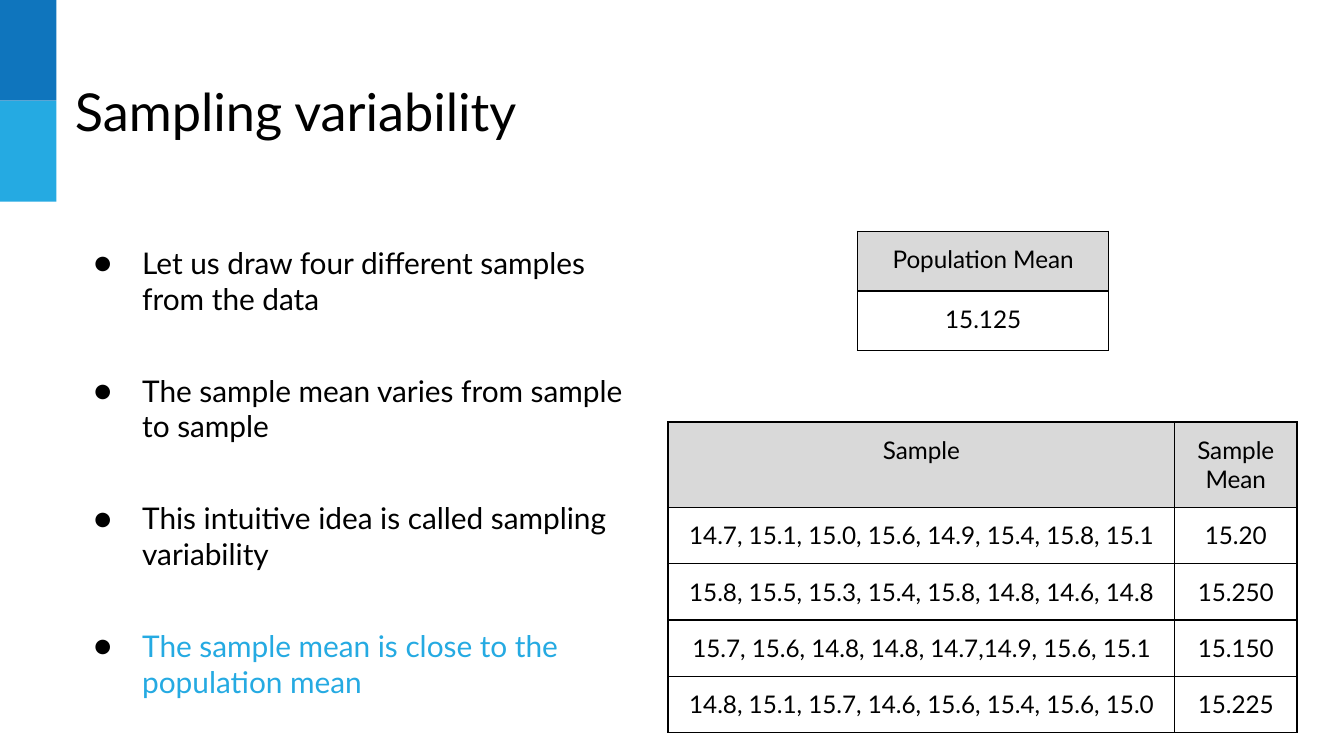
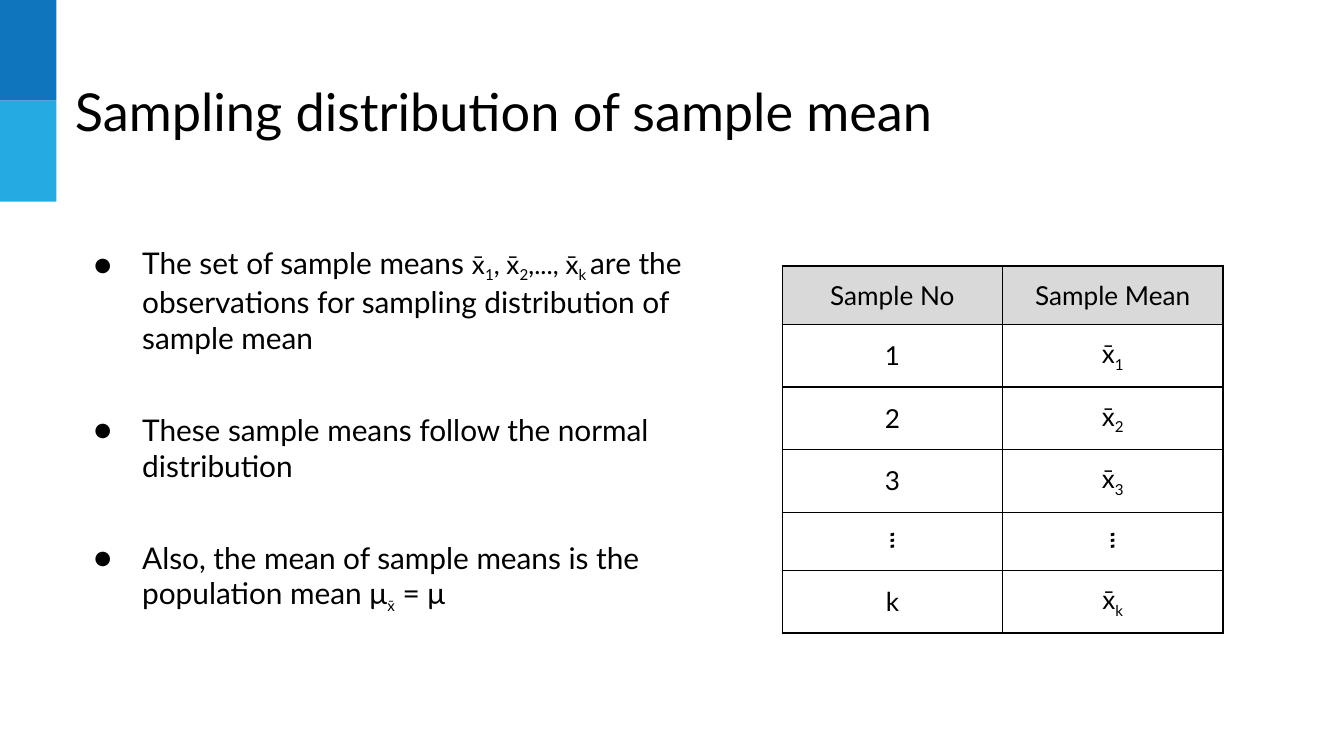
"""Build two slides on sampling variability and the distribution of the sample mean."""
from dataclasses import dataclass
from typing import NamedTuple

from lxml.etree import SubElement
from pptx import Presentation
from pptx.dml.color import RGBColor
from pptx.enum.shapes import MSO_SHAPE
from pptx.enum.text import MSO_ANCHOR, PP_ALIGN
from pptx.oxml.ns import qn
from pptx.util import Inches, Pt


@dataclass(frozen=True)
class Theme:
    """Colours, type sizes and measures shared by the slides."""
    font: str = "Lato"
    ink: str = "000000"
    deep: str = "0F75BD"
    bright: str = "25AAE2"
    header: str = "D9D9D9"
    title: int = 28
    body: int = 16
    symbol: int = 14
    small: int = 13
    gap: int = 30
    border: float = 0.75
    inset: int = 1


T = Theme()
COLS, ROWS = 100, 56.25


class Area(NamedTuple):
    """A rectangle in grid columns and rows."""
    x: float
    y: float
    w: float
    h: float


class Span(NamedTuple):
    """A stretch of text with one format."""
    text: str
    size: int = T.body
    sub: bool = False
    color: str = T.ink


Line = tuple[Span, ...]


@dataclass(frozen=True)
class Grid:
    """A bordered table whose first row is a header."""
    x: float
    y: float
    cols: tuple[float, ...]
    row: float
    rows: tuple[tuple[Line, ...], ...]
    anchor: MSO_ANCHOR = MSO_ANCHOR.TOP


@dataclass(frozen=True)
class Page:
    """The content of one slide."""
    title: str
    body: Area
    bullets: tuple[Line, ...]
    grids: tuple[Grid, ...]


def unit(n: float) -> int:
    """Turn grid units into a length."""
    return Inches(n / 10)


def plain(rows: list[tuple[str, ...]], size: int) -> tuple[tuple[Line, ...], ...]:
    """Make table rows of single-format cells."""
    return tuple(tuple((Span(text, size),) for text in row) for row in rows)


def x_bar(index: str, lead: str = "") -> Line:
    """Write an indexed sample mean."""
    return Span(f"{lead}x̄", T.symbol), Span(index, T.symbol, sub=True)


def write(p, line: Line) -> None:
    """Fill a paragraph with formatted runs."""
    for span in line:
        r = p.add_run()
        r.text = span.text
        r.font.name = T.font
        r.font.size = Pt(span.size)
        r.font.color.rgb = RGBColor.from_string(span.color)
        if span.sub:
            r._r.get_or_add_rPr().set("baseline", "-25000")


def set_margins(box) -> None:
    """Give a text frame or a cell even insets."""
    box.margin_left = box.margin_right = unit(T.inset)
    box.margin_top = box.margin_bottom = unit(T.inset)


def add_text(s, area: Area, lines: tuple[Line, ...], bulleted: bool = False) -> None:
    """Add a text box with one paragraph a line."""
    tf = s.shapes.add_textbox(*map(unit, area)).text_frame
    tf.word_wrap = True
    set_margins(tf)
    for i, line in enumerate(lines):
        p = tf.add_paragraph() if i else tf.paragraphs[0]
        if bulleted:
            add_bullet(p)
        if i:
            p.space_before = Pt(T.gap)
        write(p, line)


def add_bullet(p) -> None:
    """Give a paragraph a hanging dot."""
    pPr = p._p.get_or_add_pPr()
    pPr.set("marL", str(unit(5)))
    pPr.set("indent", str(-unit(3.6)))
    color = SubElement(pPr, qn("a:buClr"))
    SubElement(color, qn("a:srgbClr"), val=T.ink)
    SubElement(pPr, qn("a:buFont"), typeface=T.font)
    SubElement(pPr, qn("a:buChar"), char="●")


def add_borders(cell) -> None:
    """Line all four sides of a cell."""
    tcPr = cell._tc.get_or_add_tcPr()
    for side in "LRTB":
        ln = SubElement(tcPr, qn(f"a:ln{side}"), w=str(Pt(T.border)))
        fill = SubElement(ln, qn("a:solidFill"))
        SubElement(fill, qn("a:srgbClr"), val=T.ink)


def add_grid(s, grid: Grid) -> None:
    """Draw a table."""
    area = Area(grid.x, grid.y, sum(grid.cols), grid.row * len(grid.rows))
    table = s.shapes.add_table(len(grid.rows), len(grid.cols), *map(unit, area)).table
    table.first_row = table.horz_banding = False
    for column, width in zip(table.columns, grid.cols):
        column.width = unit(width)
    for i, row in enumerate(grid.rows):
        table.rows[i].height = unit(grid.row)
        for j, line in enumerate(row):
            cell = table.cell(i, j)
            add_borders(cell)
            set_margins(cell)
            cell.vertical_anchor = grid.anchor
            if i:
                cell.fill.background()
            else:
                cell.fill.solid()
                cell.fill.fore_color.rgb = RGBColor.from_string(T.header)
            p = cell.text_frame.paragraphs[0]
            p.alignment = PP_ALIGN.CENTER
            write(p, line)


def add_bands(s) -> None:
    """Stack the two colour blocks in the top left corner."""
    width, height = 4.2, 7.5
    for i, color in enumerate((T.deep, T.bright)):
        sp = s.shapes.add_shape(
            MSO_SHAPE.RECTANGLE, *map(unit, Area(0, i * height, width, height)))
        sp.shadow.inherit = False
        sp.fill.solid()
        sp.fill.fore_color.rgb = RGBColor.from_string(color)
        sp.line.fill.background()


def add_page(prs, page: Page) -> None:
    """Add one slide."""
    s = prs.slides.add_slide(prs.slide_layouts[6])
    add_bands(s)
    add_text(s, Area(4.6, 4.9, 81, 6.3), ((Span(page.title, T.title),),))
    add_text(s, page.body, page.bullets, bulleted=True)
    for grid in page.grids:
        add_grid(s, grid)


VARIABILITY = Page(
    "Sampling variability",
    Area(4.6, 17.2, 43.8, 36.8),
    (
        (Span("Let us draw four different samples from the data"),),
        (Span("The sample mean varies from sample to sample"),),
        (Span("This intuitive idea is called sampling variability"),),
        (Span("The sample mean is close to the population mean", color=T.bright),),
    ),
    (
        Grid(49.7, 31.4, (37.7, 9.1), 4.2, plain([
            ("Sample", "Sample Mean"),
            ("14.7, 15.1, 15.0, 15.6, 14.9, 15.4, 15.8, 15.1", "15.20"),
            ("15.8, 15.5, 15.3, 15.4, 15.8, 14.8, 14.6, 14.8", "15.250"),
            ("15.7, 15.6, 14.8, 14.8, 14.7,14.9, 15.6, 15.1", "15.150"),
            ("14.8, 15.1, 15.7, 14.6, 15.6, 15.4, 15.6, 15.0", "15.225"),
        ], T.small)),
        Grid(63.8, 17.2, (18.7,), 4.45,
             plain([("Population Mean",), ("15.125",)], T.small)),
    ),
)

MEAN_ROWS = (
    *plain([("Sample No", "Sample Mean")], T.symbol),
    *(((Span(n, T.symbol),), x_bar(n)) for n in "123"),
    *plain([("፧", "፧")], T.symbol),
    ((Span("k", T.symbol),), x_bar("k")),
)

DISTRIBUTION = Page(
    "Sampling distribution of sample mean",
    Area(4.6, 17.2, 48.2, 32.4),
    (
        (
            Span("The set of sample means "),
            *x_bar("1"), *x_bar("2", ", "), *x_bar("k ", ",..., "),
            Span("are the"), Span(" ", T.symbol),
            Span("observations for sampling distribution of sample mean"),
        ),
        (Span("These sample means follow the normal distribution"),),
        (
            Span("Also, the mean of sample means is the population mean μ"),
            Span("x̄", T.symbol, sub=True),
            Span(" = μ"),
        ),
    ),
    (Grid(58.2, 19.8, (16.4, 16.4), 4.33, MEAN_ROWS, MSO_ANCHOR.MIDDLE),),
)


def main() -> None:
    """Build and save the presentation."""
    prs = Presentation()
    prs.slide_width, prs.slide_height = unit(COLS), unit(ROWS)
    for page in (VARIABILITY, DISTRIBUTION):
        add_page(prs, page)
    prs.save("out.pptx")


if __name__ == "__main__":
    main()
